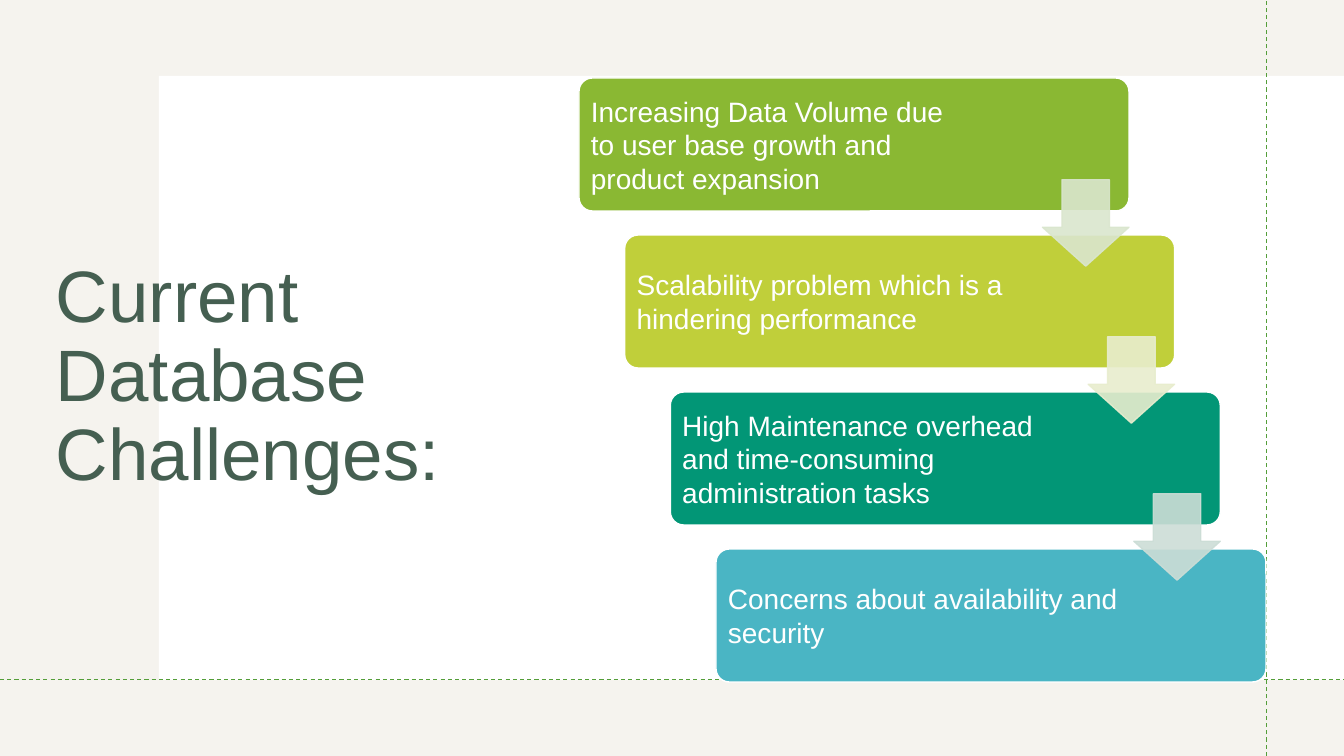
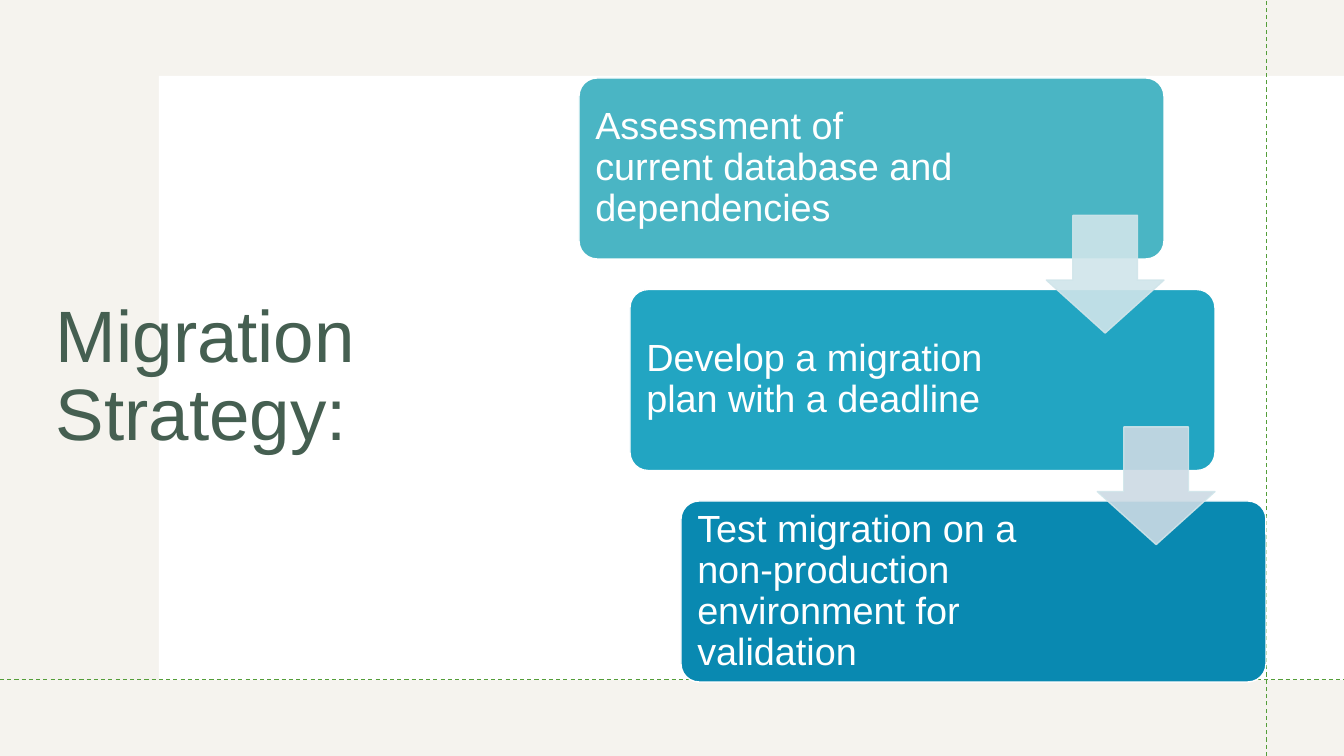
from dataclasses import dataclass

from lxml import etree
from pptx import Presentation
from pptx import util as u
from pptx.dml.color import RGBColor
from pptx.enum import dml, shapes, text
from pptx.oxml import ns

PAGE_W, PAGE_H = 1344, 756
EMU_PER_PX = 12192000 / PAGE_W


@dataclass(frozen=True)
class Theme:
    font: str = "Arial"
    white: str = "FFFFFF"
    tint: str = "E3DED1"
    tint_opacity: int = 35
    arrow_opacity: int = 90
    title: str = "455F51"
    guide: str = "549E39"
    title_size: int = 52
    guide_width: float = 0.75
    outline_width: float = 1


@dataclass(frozen=True)
class Staircase:
    """Sizes of one slide's steps; lengths in px, text size in points."""
    width: int
    height: int
    text_width: int
    inset: int
    text_size: int
    line_spacing: float


THEME = Theme()
LEFT, TOP, RIGHT, BOTTOM = 579, 78, 1266, 682
CORNER = 0.1
FIRST_TEXT_TRIM = 15
ARROW_RATIO = 0.65
CORNER_TEXT_RATIO = 0.29  # share of the corner radius kept free of text

CHALLENGES = Staircase(550, 133, 394, 8, 20, 1.0)
STRATEGY = Staircase(585, 181, 382, 11, 27, 0.9)


def px(length):
    return u.Emu(round(length * EMU_PER_PX))


def rgb(color):
    return RGBColor.from_string(color)


def set_opacity(shape, percent):
    """Apply the opacity to the fill and the outline."""
    for color in list(shape.element.spPr.iter(ns.qn("a:srgbClr"))):
        alpha = etree.SubElement(color, ns.qn("a:alpha"))
        alpha.set("val", str(percent * 1000))


def write_text(frame, content, *, size, color, line_spacing=1.0):
    frame.word_wrap = True
    frame.vertical_anchor = text.MSO_ANCHOR.MIDDLE
    para = frame.paragraphs[0]
    para.alignment = text.PP_ALIGN.LEFT
    para.line_spacing = line_spacing
    span = para.add_run()
    span.text = content
    span.font.name = THEME.font
    span.font.size = u.Pt(size)
    span.font.color.rgb = rgb(color)


def add_box(page, kind, left, top, width, height, *, fill,
            outline=None, opacity=100, adjustments=()):
    box = page.shapes.add_shape(kind, px(left), px(top), px(width), px(height))
    box.shadow.inherit = False
    box.fill.solid()
    box.fill.fore_color.rgb = rgb(fill)
    if outline:
        box.line.color.rgb = rgb(outline)
        box.line.width = u.Pt(THEME.outline_width)
    else:
        box.line.fill.background()
    for index, value in enumerate(adjustments):
        box.adjustments[index] = value
    if opacity < 100:
        set_opacity(box, opacity)
    return box


def add_guide(page, x1, y1, x2, y2):
    guide = page.shapes.add_connector(
        shapes.MSO_CONNECTOR.STRAIGHT, px(x1), px(y1), px(x2), px(y2))
    guide.line.color.rgb = rgb(THEME.guide)
    guide.line.width = u.Pt(THEME.guide_width)
    guide.line.dash_style = dml.MSO_LINE.DASH
    etree.SubElement(guide.element.spPr, ns.qn("a:effectLst"))


def add_page(deck, title):
    """Add a slide with the tinted frame, the title and the dashed guides."""
    page = deck.slides.add_slide(deck.slide_layouts[6])
    page.background.fill.solid()
    page.background.fill.fore_color.rgb = rgb(THEME.white)
    rectangle = shapes.MSO_SHAPE.RECTANGLE
    add_box(page, rectangle, 0, 0, PAGE_W, PAGE_H,
            fill=THEME.tint, opacity=THEME.tint_opacity)
    add_box(page, rectangle, 159, 76, PAGE_W - 159, 604, fill=THEME.white)
    title_box = page.shapes.add_textbox(px(46), px(104), px(493), px(548))
    write_text(title_box.text_frame, title, size=THEME.title_size,
               color=THEME.title, line_spacing=0.9)
    add_guide(page, 1267, PAGE_H, 1267, 0)
    add_guide(page, 0, 680, PAGE_W, 680)
    return page


def add_step(page, left, top, stairs, content, color, text_width):
    box = add_box(page, shapes.MSO_SHAPE.ROUNDED_RECTANGLE,
                  left, top, stairs.width, stairs.height,
                  fill=color, outline=THEME.white, adjustments=[CORNER])
    corner_gap = CORNER * stairs.height * CORNER_TEXT_RATIO
    frame = box.text_frame
    frame.margin_left = frame.margin_top = frame.margin_bottom = px(stairs.inset)
    frame.margin_right = px(
        stairs.width - 2 * corner_gap - stairs.inset - text_width)
    write_text(frame, content, size=stairs.text_size, color=THEME.white,
               line_spacing=stairs.line_spacing)


def add_staircase(page, stairs, steps, arrows):
    """Spread steps diagonally, with an arrow centred on each gap."""
    gaps = len(steps) - 1
    step_x = (RIGHT - LEFT - stairs.width) / gaps
    step_y = (BOTTOM - TOP - stairs.height) / gaps
    for index, (content, color) in enumerate(steps):
        trim = 0 if index else FIRST_TEXT_TRIM
        add_step(page, LEFT + index * step_x, TOP + index * step_y, stairs,
                 content, color, stairs.text_width - trim)

    size = ARROW_RATIO * stairs.height
    for index, (fill, outline) in enumerate(arrows):
        left = LEFT + index * step_x + stairs.width - size
        middle = TOP + index * step_y + (stairs.height + step_y) / 2
        add_box(page, shapes.MSO_SHAPE.DOWN_ARROW,
                left, middle - size / 2, size, size, fill=fill,
                outline=outline, opacity=THEME.arrow_opacity,
                adjustments=[0.55, 0.45])


def main():
    deck = Presentation()
    deck.slide_width, deck.slide_height = px(PAGE_W), px(PAGE_H)

    page = add_page(deck, "Current Database Challenges:")
    add_staircase(page, CHALLENGES, [
        ("Increasing Data Volume due to user base growth and product expansion",
         "8AB833"),
        ("Scalability problem which is a hindering performance", "C0CF3A"),
        ("High Maintenance overhead and time-consuming administration tasks",
         "029676"),
        ("Concerns about availability and security", "4AB5C4"),
    ], [("DAE6CE", "DAE6CE"), ("E8EDCE", "E8EDCE"), ("CCDDD6", "CCDDD6")])

    page = add_page(deck, "Migration Strategy:")
    add_staircase(page, STRATEGY, [
        ("Assessment of current database and dependencies", "4AB5C4"),
        ("Develop a migration plan with a deadline", "22A5C2"),
        ("Test migration on a non-production environment for validation",
         "0989B1"),
    ], [("D0E5EA", "D0E5EA"), ("CCDAE4", "D0E5EA")])

    deck.save("out.pptx")


if __name__ == "__main__":
    main()
